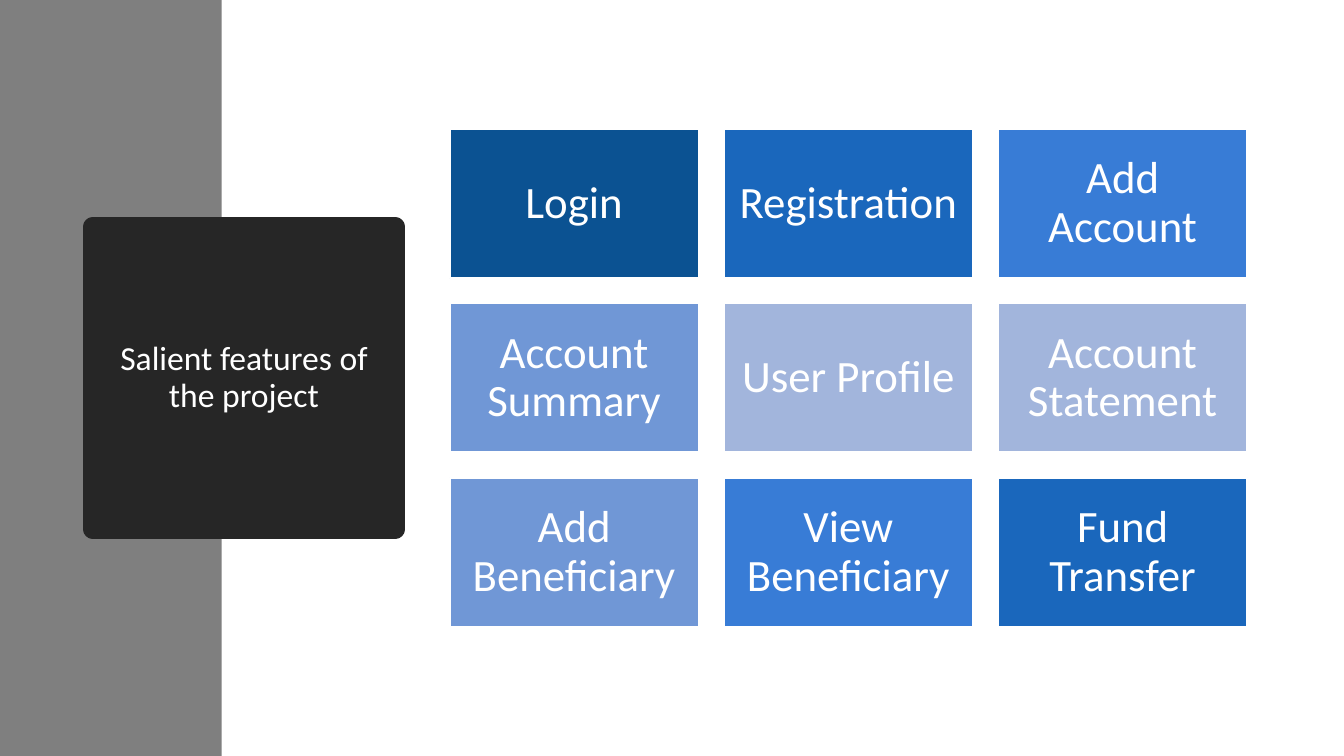
"""Build a slide listing the salient features of the project."""
from dataclasses import dataclass

from lxml import etree
from pptx import Presentation
from pptx.dml.color import RGBColor
from pptx.enum.shapes import MSO_SHAPE
from pptx.enum.text import MSO_ANCHOR, MSO_AUTO_SIZE, PP_ALIGN
from pptx.oxml.ns import qn
from pptx.shapes.autoshape import Shape
from pptx.slide import Slide
from pptx.util import Inches, Pt

FONT = "Calibri"
WHITE, GREY, BLACK = "FFFFFF", "7F7F7F", "262626"
COLUMNS = 3
GRID_LEFT, GRID_TOP = 4.46, 1.28
TILE_W, TILE_H = 2.47, 1.48
STEP_X, STEP_Y = 2.72, 1.73


@dataclass(frozen=True)
class Feature:
    label: str
    color: str


FEATURES = [
    Feature("Login", "0B5292"),
    Feature("Registration", "1A67BC"),
    Feature("Add Account", "387CD6"),
    Feature("Account Summary", "7097D6"),
    Feature("User Profile", "A2B5DC"),
    Feature("Account Statement", "A2B5DC"),
    Feature("Add Beneficiary", "7097D6"),
    Feature("View Beneficiary", "387CD6"),
    Feature("Fund Transfer", "1A67BC"),
]


def rgb(color: str) -> RGBColor:
    return RGBColor.from_string(color)


def paint(sp: Shape, fill: str, line: str, width: float) -> None:
    sp.fill.solid()
    sp.fill.fore_color.rgb = rgb(fill)
    sp.line.color.rgb = rgb(line)
    sp.line.width = Pt(width)


def write(sp: Shape, text: str, size: float, inset: float) -> None:
    tf = sp.text_frame
    tf.text = text
    tf.word_wrap = True
    tf.auto_size = MSO_AUTO_SIZE.NONE
    tf.vertical_anchor = MSO_ANCHOR.MIDDLE
    tf.margin_left = tf.margin_right = Inches(inset)
    tf.margin_top = tf.margin_bottom = Inches(inset)
    p = tf.paragraphs[0]
    p.alignment = PP_ALIGN.CENTER
    p.line_spacing = 0.9
    font = p.runs[0].font
    font.name = FONT
    font.size = Pt(size)
    font.color.rgb = rgb(WHITE)


def add_rectangle(slide: Slide, left: float, top: float, width: float, height: float) -> Shape:
    sp = slide.shapes.add_shape(
        MSO_SHAPE.RECTANGLE, Inches(left), Inches(top), Inches(width), Inches(height)
    )
    sp.shadow.inherit = False
    return sp


def add_band(slide: Slide) -> None:
    band = add_rectangle(slide, 0, 0, 2.2, 7.5)
    band.fill.solid()
    band.fill.fore_color.rgb = rgb(GREY)
    band.line.fill.background()
    slide.shapes.title._element.addprevious(band._element)


def format_title(slide: Slide) -> None:
    title = slide.shapes.title
    title.left, title.top = Inches(0.92), Inches(2.25)
    title.width = title.height = Inches(3)
    geometry = etree.Element(qn("a:prstGeom"), prst="ellipse")
    etree.SubElement(geometry, qn("a:avLst"))
    title._element.spPr.find(qn("a:xfrm")).addnext(geometry)
    paint(title, BLACK, BLACK, 13.75)
    write(title, "Salient features of the project", 24, 0.1)


def add_feature(slide: Slide, index: int, feature: Feature) -> None:
    row, column = divmod(index, COLUMNS)
    left, top = GRID_LEFT + column * STEP_X, GRID_TOP + row * STEP_Y
    tile = add_rectangle(slide, left, top, TILE_W, TILE_H)
    paint(tile, feature.color, WHITE, 1.5)
    write(tile, feature.label, 32, 0.13)


def main() -> None:
    prs = Presentation()
    prs.slide_width, prs.slide_height = Inches(13.33), Inches(7.5)
    slide = prs.slides.add_slide(prs.slide_layouts[5])
    format_title(slide)
    add_band(slide)
    for index, feature in enumerate(FEATURES):
        add_feature(slide, index, feature)
    prs.save("out.pptx")


if __name__ == "__main__":
    main()
